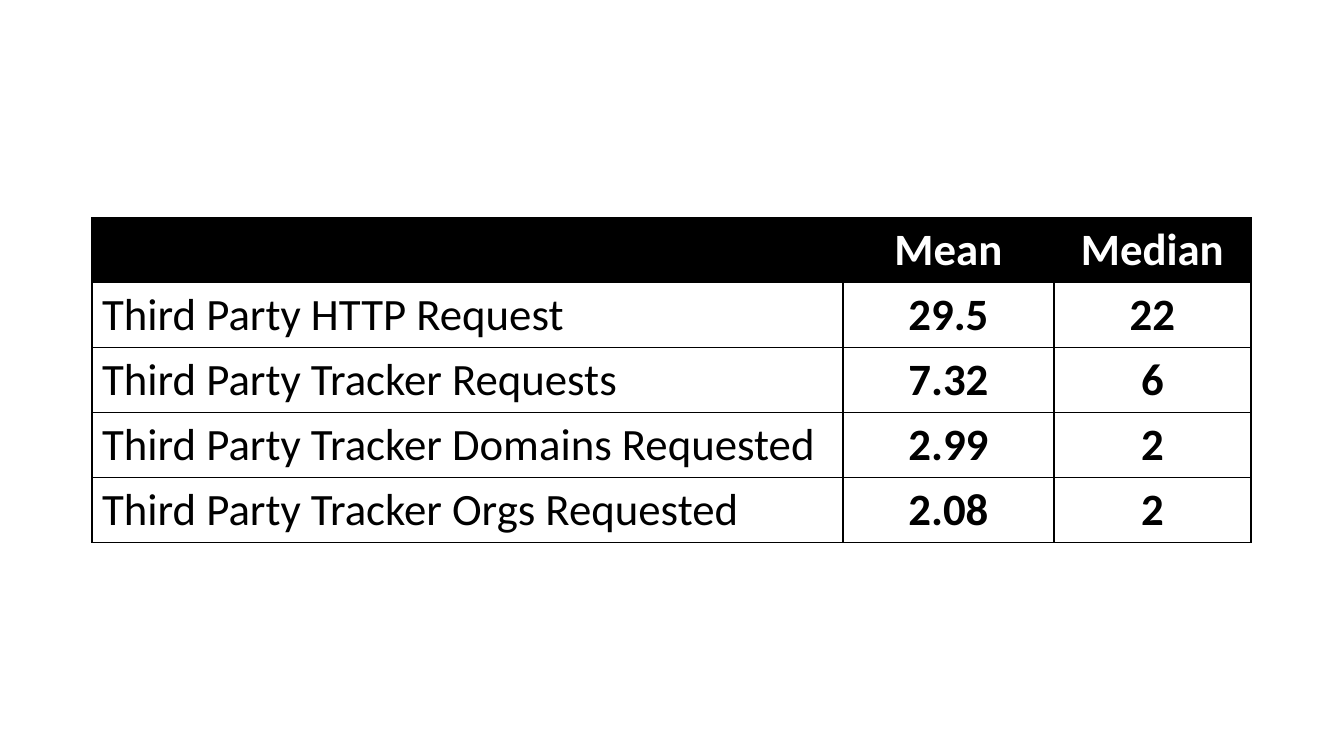
from dataclasses import dataclass

from lxml.etree import SubElement
from pptx import Presentation
from pptx.dml.color import RGBColor as Rgb
from pptx.enum.text import MSO_ANCHOR as Anchor, PP_ALIGN as Align
from pptx.oxml import parse_xml
from pptx.oxml.ns import qn
from pptx.util import Emu, Pt

EMU_PER_PX = 914400 / 100.8


@dataclass(frozen=True)
class Theme:
    font: str = "Calibri"
    size: int = 32
    ink: str = "000000"
    paper: str = "FFFFFF"
    border: int = 1


THEME = Theme()

HEADINGS = ("", "Mean", "Median")
MEASURES = (
    ("Third Party HTTP Request", "29.5", "22"),
    ("Third Party Tracker Requests", "7.32", "6"),
    ("Third Party Tracker Domains Requested", "2.99", "2"),
    ("Third Party Tracker Orgs Requested", "2.08", "2"),
)
COLUMN_WIDTHS = (751, 211, 197)
ROW_HEIGHT = 64


def px(length):
    return Emu(round(length * EMU_PER_PX))


def add_borders(cell):
    properties = cell._tc.get_or_add_tcPr()
    for position, side in enumerate(("lnL", "lnR", "lnT", "lnB")):
        border = parse_xml(
            f'<a:{side} xmlns:a="http://schemas.openxmlformats.org/drawingml/2006/main"/>'
        )
        border.set("w", str(Pt(THEME.border)))
        solid = SubElement(border, qn("a:solidFill"))
        SubElement(solid, qn("a:srgbClr")).set("val", THEME.ink)
        properties.insert(position, border)


def fill_cell(cell, text, is_header, is_label):
    if is_header:
        cell.fill.solid()
        cell.fill.fore_color.rgb = Rgb.from_string(THEME.ink)
    else:
        cell.fill.background()
    add_borders(cell)
    cell.vertical_anchor = Anchor.MIDDLE
    if not text:
        return
    paragraph = cell.text_frame.paragraphs[0]
    paragraph.alignment = Align.LEFT if is_label else Align.CENTER
    run = paragraph.add_run()
    run.text = text
    run.font.name = THEME.font
    run.font.size = Pt(THEME.size)
    run.font.bold = not is_label
    run.font.color.rgb = Rgb.from_string(THEME.paper if is_header else THEME.ink)


def add_measures_table(slide, left, top):
    rows = (HEADINGS, *MEASURES)
    table = slide.shapes.add_table(
        len(rows), len(HEADINGS), px(left), px(top),
        px(sum(COLUMN_WIDTHS)), px(ROW_HEIGHT * len(rows)),
    ).table
    table.horz_banding = False
    for column, width in zip(table.columns, COLUMN_WIDTHS):
        column.width = px(width)
    for row_index, texts in enumerate(rows):
        table.rows[row_index].height = px(ROW_HEIGHT)
        for column_index, text in enumerate(texts):
            fill_cell(
                table.cell(row_index, column_index), text,
                is_header=row_index == 0, is_label=column_index == 0,
            )


def main():
    deck = Presentation()
    deck.slide_width, deck.slide_height = px(1344), px(756)
    slide = deck.slides.add_slide(deck.slide_layouts[6])
    add_measures_table(slide, 92, 218)
    deck.save("out.pptx")


if __name__ == "__main__":
    main()
